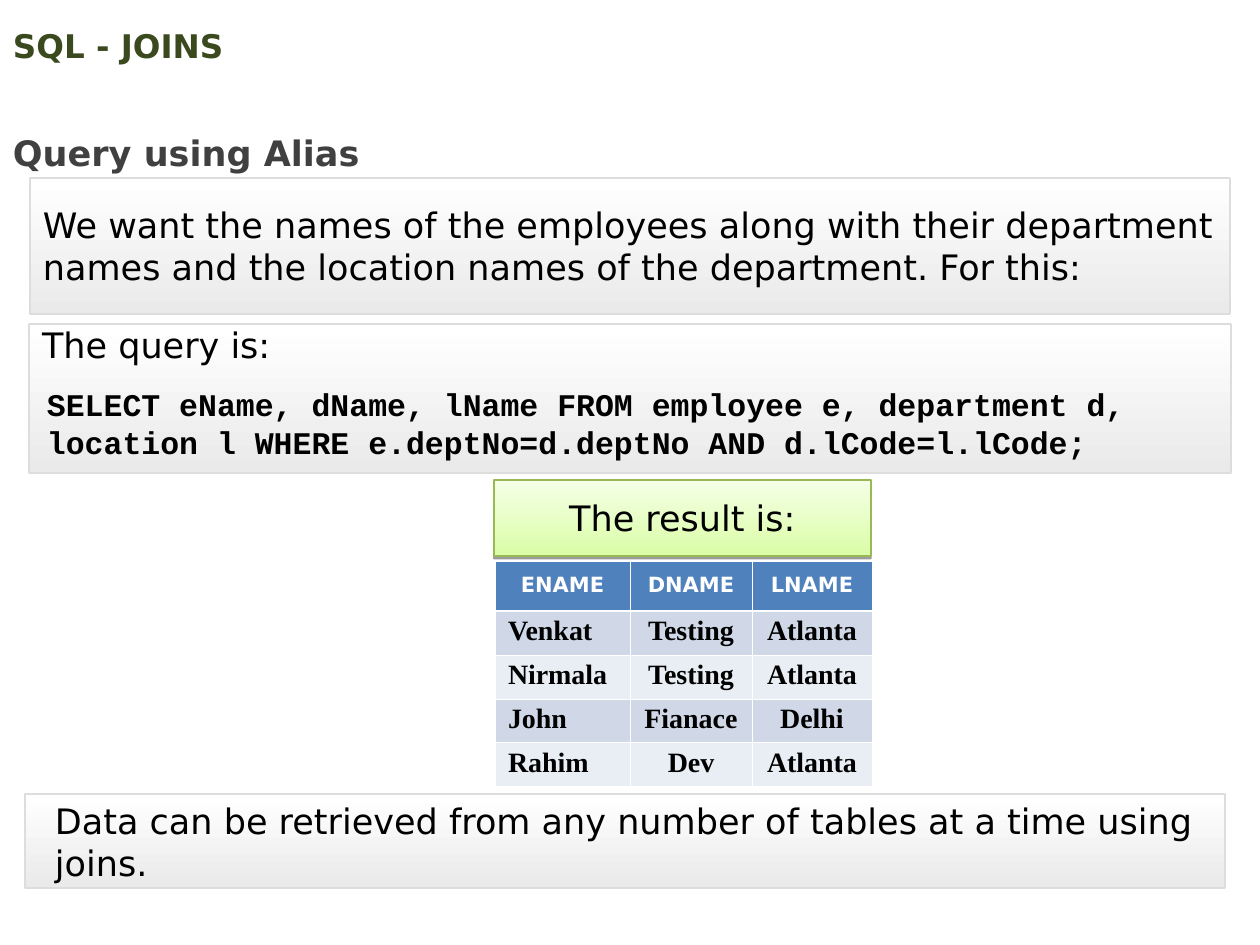
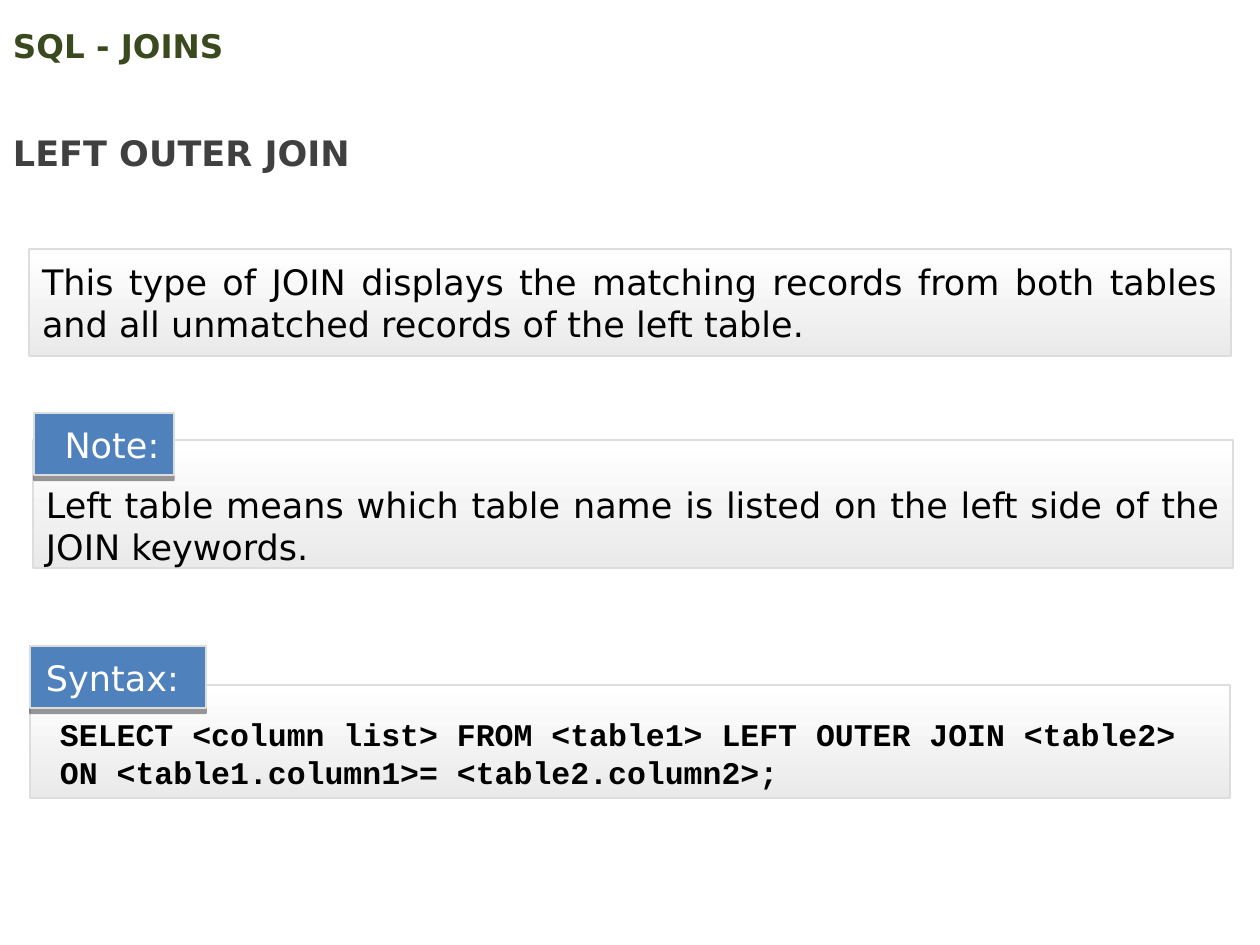
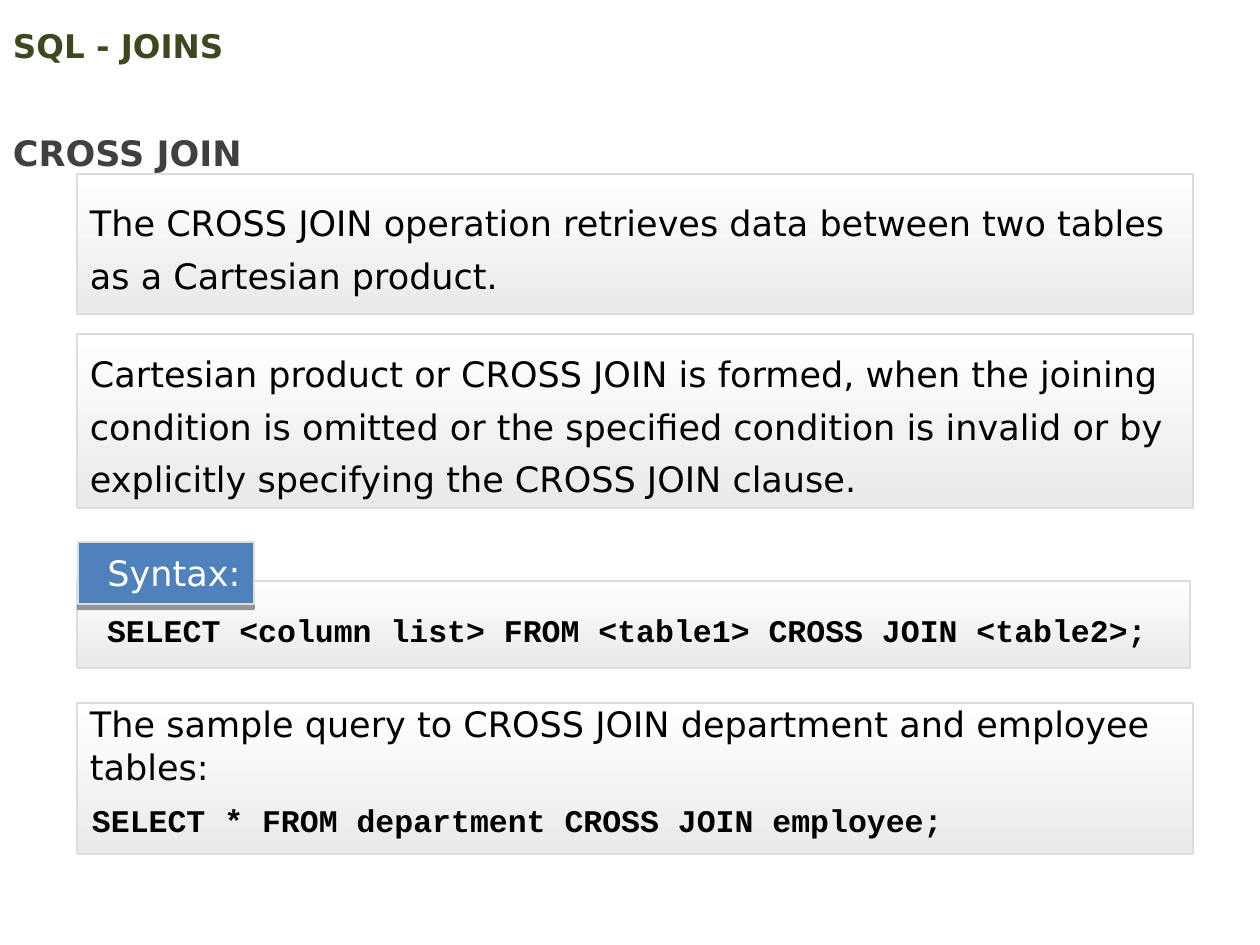
from lxml import etree
from pptx import Presentation
from pptx.dml.color import RGBColor
from pptx.enum.shapes import MSO_SHAPE
from pptx.enum.text import MSO_ANCHOR, PP_ALIGN
from pptx.oxml.ns import qn
from pptx.util import Pt

RECT = MSO_SHAPE.RECTANGLE
TOP, MIDDLE, BOTTOM = MSO_ANCHOR.TOP, MSO_ANCHOR.MIDDLE, MSO_ANCHOR.BOTTOM
LEFT, CENTER, JUSTIFY = PP_ALIGN.LEFT, PP_ALIGN.CENTER, PP_ALIGN.JUSTIFY

EMU_PER_PX = 914400 / 126
SANS, MONO, SERIF = "DejaVu Sans", "Courier New", "Times New Roman"
COLORS = {
    "title": "3B4A1E", "subtitle": "404040", "text": "000000", "white": "FFFFFF",
    "panel_end": "EAEAEA", "panel_line": "DDDDDD", "blue": "4F81BD",
    "green_top": "F5FFE6", "green_end": "DAFDA7", "green_line": "98B954",
    "band_dark": "D0D8E8", "band_light": "E9EDF4",
}

# Shared look: (text format, fill colours, line colour, line width, shadow)
CODE = dict(size=18, font=MONO, bold=True)
STYLES = {
    "title": dict(text=dict(size=18.6, color="title", bold=True, anchor=MIDDLE, insets=(13, 6, 13, 6))),
    "subtitle": dict(text=dict(color="subtitle", bold=True, spacing=1.5, insets=(13, 6, 13, 6))),
    "code": dict(text=dict(insets=(13, 6, 13, 6), **CODE)),
    "panel": dict(text=dict(anchor=MIDDLE), fill=("white", "panel_end"), line=("panel_line", 1)),
    "syntax": dict(text=dict(insets=(30, 30, 30, 0), **CODE),
                   fill=("white", "panel_end"), line=("panel_line", 1)),
    "label": dict(text=dict(color="white", anchor=MIDDLE, insets=(0, 0, 0, 0), indent=16, align=CENTER),
                  fill=("blue",), line=("panel_line", 1), shadow=(3, 40)),
    "result": dict(text=dict(anchor=MIDDLE, align=CENTER), fill=("green_top", "green_end"),
                   line=("green_line", 0.75), shadow=(1.6, 38)),
}

# Content: (style, text, (left, top, width, height), text format overrides)
TITLE = ("title", "SQL - JOINS", (0, 18, 1134, 54), {})
SUBTITLE_PLACE = (0, 105, 893, 76)
LABEL_HEIGHT = 62
SLIDES = [
    ("Query using Alias", [
        ("panel", "We want the names of the employees along with their department names and "
                  "the location names of the department. For this:", (30, 178, 1200, 136), {}),
        ("panel", "The query is:", (29, 324, 1202, 149), dict(anchor=TOP)),
        ("code", "SELECT eName, dName, lName FROM employee e, department d, location l "
                 "WHERE e.deptNo=d.deptNo AND d.lCode=l.lCode;", (34, 379, 1196, 88), {}),
        ("result", "The result is:", (494, 480, 377, 76), {}),
        ("panel", "Data can be retrieved from any number of tables at a time using joins.",
         (25, 794, 1200, 94), dict(insets=(30, 0, 13, 0))),
    ]),
    ("LEFT OUTER JOIN", [
        ("panel", "This type of JOIN displays the matching records from both tables and all "
                  "unmatched records of the left table.", (29, 249, 1202, 107), dict(align=JUSTIFY)),
        ("syntax", "SELECT <column list> FROM <table1> LEFT OUTER JOIN <table2> "
                   "ON <table1.column1>= <table2.column2>;", (30, 685, 1200, 113), {}),
        ("label", "Syntax:", (30, 646, 176, LABEL_HEIGHT), dict(align=LEFT)),
        ("panel", "Left table means which table name is listed on the left side of the JOIN keywords.",
         (33, 440, 1200, 128), dict(align=JUSTIFY, anchor=BOTTOM)),
        ("label", "Note:", (34, 413, 140, LABEL_HEIGHT), {}),
    ]),
    ("CROSS JOIN", [
        ("panel", "The CROSS JOIN operation retrieves data between two tables as a Cartesian product.",
         (77, 174, 1116, 140), dict(spacing=Pt(30))),
        ("syntax", "SELECT <column list> FROM <table1> CROSS JOIN <table2>;", (77, 581, 1113, 87), {}),
        ("label", "Syntax:", (78, 542, 176, LABEL_HEIGHT), {}),
        ("panel", "The sample query to CROSS JOIN department and employee tables:",
         (77, 703, 1116, 151), dict(anchor=TOP)),
        ("code", "SELECT * FROM department CROSS JOIN employee;", (79, 795, 896, 50), {}),
        ("panel", "Cartesian product or CROSS JOIN is formed, when the joining condition is omitted "
                  "or the specified condition is invalid or by explicitly specifying the CROSS JOIN clause.",
         (77, 334, 1116, 174), dict(spacing=Pt(30))),
    ]),
]
RESULT_ROWS = [
    ("ENAME", "DNAME", "LNAME"),
    ("Venkat", "Testing", "Atlanta"),
    ("Nirmala", "Testing", "Atlanta"),
    ("John", "Fianace", "Delhi"),
    ("Rahim", "Dev", "Atlanta"),
]
RESULT_PLACE = (495, 561)
RESULT_WIDTHS = (135, 122, 120)
HEADER_HEIGHT, ROW_HEIGHT = 50, 44


def px(length):
    return round(length * EMU_PER_PX)


def rgb(name):
    return RGBColor.from_string(COLORS[name])


def write(frame, text, size=20, font=SANS, color="text", bold=False, align=LEFT,
          anchor=TOP, spacing=None, insets=(13, 0, 13, 0), indent=0):
    frame.word_wrap = True
    frame.vertical_anchor = anchor
    frame.margin_left, frame.margin_top, frame.margin_right, frame.margin_bottom = map(px, insets)
    paragraph = frame.paragraphs[0]
    paragraph.alignment = align
    paragraph.line_spacing = spacing
    if indent:
        paragraph._p.get_or_add_pPr().set("marL", str(px(indent)))
    run = paragraph.add_run()
    run.text = text
    run.font.size, run.font.name, run.font.bold = Pt(size), font, bold
    run.font.color.rgb = rgb(color)


def paint(shape, colors):
    if len(colors) == 1:
        shape.fill.solid()
        shape.fill.fore_color.rgb = rgb(colors[0])
        return
    shape.fill.gradient()
    shape.fill.gradient_angle = 270
    for stop, color in zip(shape.fill.gradient_stops, colors):
        stop.color.rgb = rgb(color)


def drop_shadow(shape, distance, opacity):
    effects = shape._element.spPr.find(qn("a:effectLst"))
    shadow = etree.SubElement(effects, qn("a:outerShdw"), blurRad="0", dist=str(Pt(distance)),
                              dir="5400000", rotWithShape="0")
    black = etree.SubElement(shadow, qn("a:srgbClr"), val=COLORS["text"])
    etree.SubElement(black, qn("a:alpha"), val=str(opacity * 1000))


def add_part(slide, style_name, text, place, overrides):
    style = STYLES[style_name]
    place = [px(length) for length in place]
    if "fill" in style:
        shape = slide.shapes.add_shape(RECT, *place)
        paint(shape, style["fill"])
        line_color, line_width = style["line"]
        shape.line.color.rgb = rgb(line_color)
        shape.line.width = Pt(line_width)
        shape.shadow.inherit = False
        if "shadow" in style:
            drop_shadow(shape, *style["shadow"])
    else:
        shape = slide.shapes.add_textbox(*place)
    write(shape.text_frame, text, **{**style["text"], **overrides})


def set_borders(cell, **widths):
    properties = cell._tc.get_or_add_tcPr()
    for index, (side, width) in enumerate(widths.items()):
        border = etree.Element(qn(f"a:{side}"), w=str(Pt(width)))
        fill = etree.SubElement(border, qn("a:solidFill"))
        etree.SubElement(fill, qn("a:srgbClr"), val=COLORS["white"])
        properties.insert(index, border)


def add_result_table(slide):
    heights = [HEADER_HEIGHT] + [ROW_HEIGHT] * (len(RESULT_ROWS) - 1)
    place = [px(length) for length in (*RESULT_PLACE, sum(RESULT_WIDTHS), sum(heights))]
    table = slide.shapes.add_table(len(heights), len(RESULT_WIDTHS), *place).table
    for column, width in zip(table.columns, RESULT_WIDTHS):
        column.width = px(width)
    for r, (names, height) in enumerate(zip(RESULT_ROWS, heights)):
        table.rows[r].height = px(height)
        header = r == 0
        fill = "blue" if header else ("band_light", "band_dark")[r % 2]
        look = dict(size=12, color="white") if header else dict(size=16, font=SERIF)
        for c, name in enumerate(names):
            cell = table.cell(r, c)
            paint(cell, (fill,))
            set_borders(cell, lnL=0.45, lnR=0.45, lnT=1.47 if r == 1 else 0.45,
                        lnB=1.47 if header else 0.45)
            write(cell.text_frame, name, bold=True, spacing=0.86,
                  align=CENTER if header or c else LEFT, **look)
            cell.vertical_anchor = MIDDLE
            cell.margin_left = cell.margin_right = px(13)
            cell.margin_top = cell.margin_bottom = px(6)


def main():
    deck = Presentation()
    deck.slide_width, deck.slide_height = px(1260), px(945)
    for number, (subtitle, parts) in enumerate(SLIDES):
        slide = deck.slides.add_slide(deck.slide_layouts[6])
        for part in [TITLE, ("subtitle", subtitle, SUBTITLE_PLACE, {}), *parts]:
            add_part(slide, *part)
        if number == 0:
            add_result_table(slide)
    deck.save("out.pptx")


if __name__ == "__main__":
    main()
